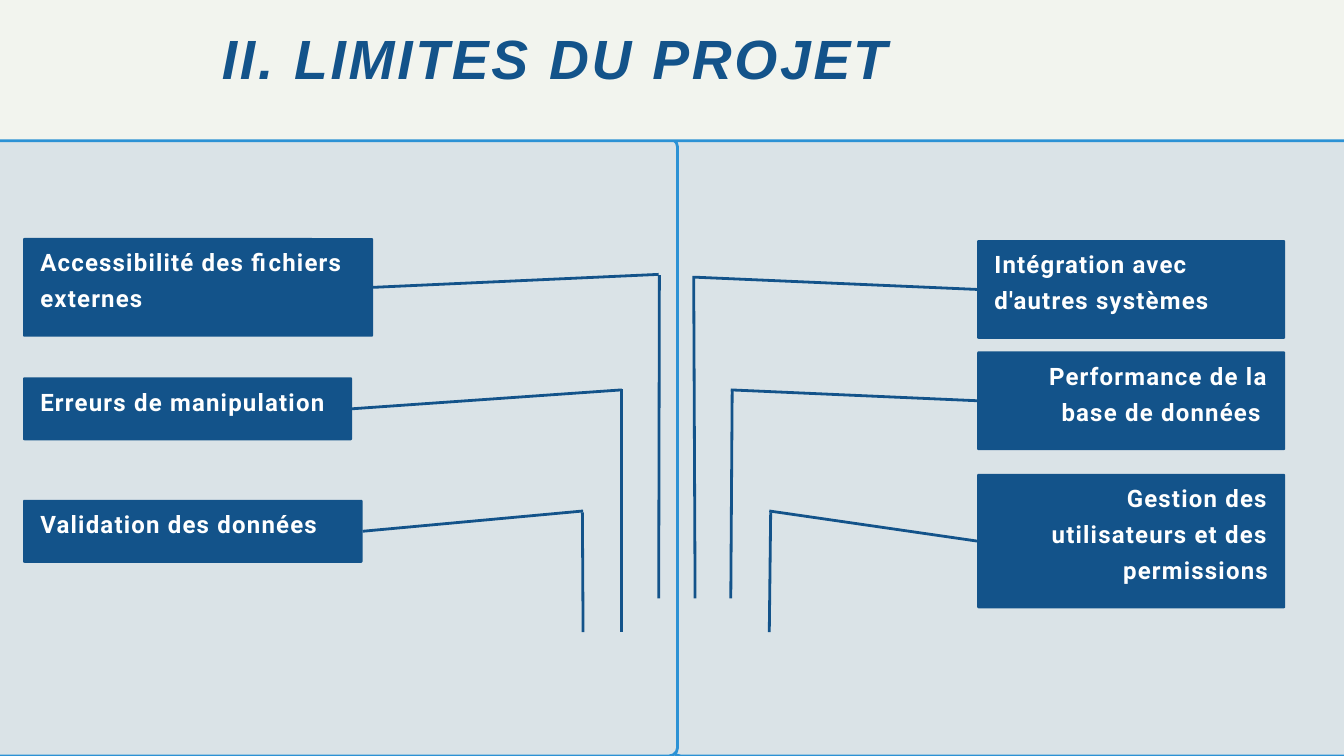
from lxml import etree
from pptx import Presentation
from pptx.dml.color import RGBColor
from pptx.enum.shapes import MSO_CONNECTOR as CONN, MSO_SHAPE as SHAPE
from pptx.enum.text import MSO_ANCHOR as ANCHOR, MSO_AUTO_SIZE as AUTO, PP_ALIGN as ALIGN
from pptx.oxml.ns import qn
from pptx.util import Pt

PX = 9525
COLORS = {"paper": "F2F4EE", "panel": "DAE3E7", "border": "2C92D5", "navy": "13538A", "white": "FFFFFF"}
TOP, LEFT_SIDE, RIGHT_SIDE = 0, 1, 3

LEFT_LIMITS = [
    ("Accessibilité des fichiers externes", (33, 340, 500, 141), ALIGN.LEFT, (941, 392), (942, 393, 941, 855)),
    ("Erreurs de manipulation", (33, 539, 470, 90), ALIGN.LEFT, (888, 557), (888, 556, 888, 903)),
    ("Validation des données", (33, 714, 485, 90), ALIGN.LEFT, (833, 730), (832, 732, 833, 903)),
]
RIGHT_LIMITS = [
    ("Intégration avec d'autres systèmes", (1396, 343, 440, 141), ALIGN.LEFT, (993, 396), (991, 394, 993, 855)),
    ("Performance de la base de données ", (1396, 502, 440, 141), ALIGN.RIGHT, (1044, 557), (1046, 556, 1044, 855)),
    ("Gestion des utilisateurs et des permissions", (1396, 677, 440, 192), ALIGN.RIGHT, (1099, 730), (1101, 732, 1099, 903)),
]


def px(*values):
    return [v * PX for v in values]


def rgb(name):
    return RGBColor.from_string(COLORS[name])


def add_panel(slide, box, radius, fill, border=None):
    sp = slide.shapes.add_shape(SHAPE.ROUNDED_RECTANGLE, *px(*box))
    sp.adjustments[0] = radius / min(box[2:])
    sp.shadow.inherit = False
    sp.fill.solid()
    sp.fill.fore_color.rgb = rgb(fill)
    if border:
        sp.line.color.rgb = rgb(border)
        sp.line.width = Pt(3)
    else:
        sp.line.fill.background()
    return sp


def set_text(tf, text, font, size, color, spacing, leading, align=ALIGN.LEFT, italic=False):
    tf.word_wrap = True
    tf.text = text
    p = tf.paragraphs[0]
    p.alignment = align
    p.line_spacing = Pt(leading)
    r = p.runs[0]
    r.font.name = font
    r.font.size = Pt(size)
    r.font.bold = True
    r.font.italic = italic
    r.font.color.rgb = rgb(color)
    r._r.get_or_add_rPr().set("spc", str(spacing))


def set_margins(tf, left, top, right, bottom):
    tf.margin_left, tf.margin_top, tf.margin_right, tf.margin_bottom = px(left, top, right, bottom)


def add_label(slide, text, box, align):
    sp = add_panel(slide, box, 2, "navy")
    tf = sp.text_frame
    set_margins(tf, 24, 0, 24, 31)
    tf.vertical_anchor = ANCHOR.MIDDLE
    set_text(tf, text, "Roboto", 25.7, "white", 130, 38.6, align)
    return sp


def add_line(slide, x1, y1, x2, y2):
    line = slide.shapes.add_connector(CONN.STRAIGHT, *px(x1, y1, x2, y2))
    line.line.color.rgb = rgb("navy")
    line.line.width = Pt(3)
    etree.SubElement(line._element.spPr, qn("a:effectLst"))
    return line


def add_limit(slide, text, box, align, elbow, stem, side):
    label = add_label(slide, text, box, align)
    x, y, w, h = box
    start_x = x + w if side == RIGHT_SIDE else x
    branch = add_line(slide, start_x, y + h // 2, *elbow)
    branch.begin_connect(label, side)
    add_line(slide, *stem)


def add_title(slide, text, box):
    tf = slide.shapes.add_textbox(*px(*box)).text_frame
    set_margins(tf, 0, 0, 0, 0)
    set_text(tf, text, "Arial", 59.2, "navy", 300, 71.1, italic=True)
    tf.auto_size = AUTO.SHAPE_TO_FIT_TEXT


def main():
    prs = Presentation()
    prs.slide_width, prs.slide_height = px(1920, 1080)
    slide = prs.slides.add_slide(prs.slide_layouts[6])
    slide.background.fill.solid()
    slide.background.fill.fore_color.rgb = rgb("paper")

    for x in (960, -507):
        add_panel(slide, (x, 198, 1475, 882), 12, "panel", "border")
    for limits, side in ((LEFT_LIMITS, RIGHT_SIDE), (RIGHT_LIMITS, LEFT_SIDE)):
        for limit in limits:
            add_limit(slide, *limit, side)

    add_panel(slide, (-35, -123, 2051, 324), 8, "paper", "border")
    add_title(slide, "II. LIMITES DU PROJET", (317, 35, 1286, 98))
    prs.save("out.pptx")


if __name__ == "__main__":
    main()
